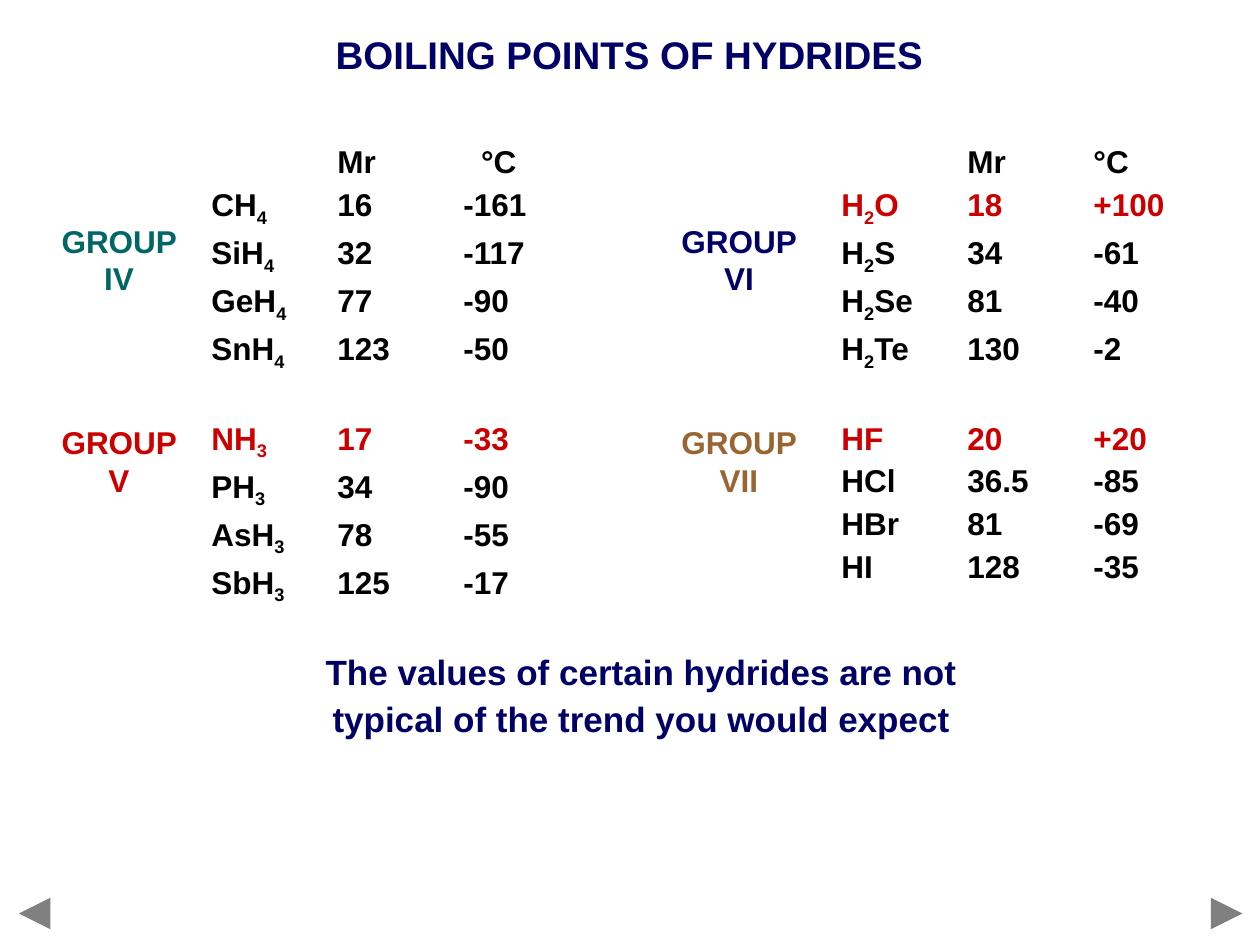
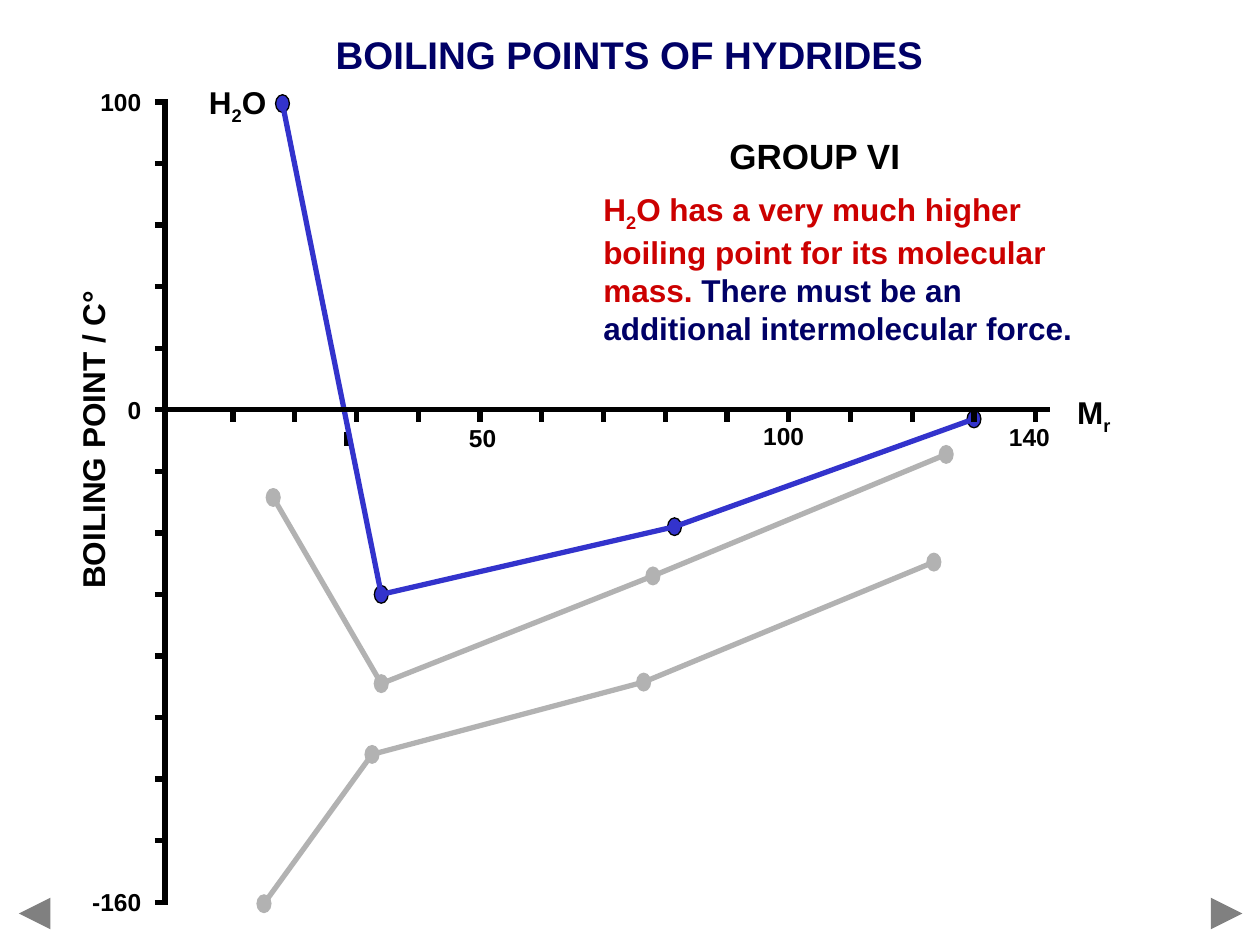
from dataclasses import dataclass
from itertools import pairwise
from typing import NamedTuple

from lxml import etree
from pptx import Presentation
from pptx.dml.color import RGBColor
from pptx.enum.shapes import MSO_CONNECTOR, MSO_SHAPE
from pptx.enum.text import PP_ALIGN
from pptx.oxml.ns import qn
from pptx.util import Inches, Pt


@dataclass(frozen=True)
class Theme:
    font: str = "Arial"
    navy: str = "000066"
    red: str = "CC0000"
    teal: str = "006666"
    brown: str = "996633"
    black: str = "000000"
    blue: str = "3333CC"
    pale_grey: str = "B2B2B2"
    arrow_grey: str = "808080"
    title: int = 22
    emphasis: int = 20
    body: int = 18
    scale: int = 14
    line: float = 3
    arrow: float = 6
    outline: float = 0.75
    line_gap: float = 2.9
    block_gap: float = 23.6


THEME = Theme()
TITLE = "BOILING POINTS OF HYDRIDES"
SUBSCRIPT = "_"


class Box(NamedTuple):
    left: float
    top: float
    width: float
    height: float

    def inner(self, left, top, width, height):
        return Box(self.left + left, self.top + top, width, height)


SLIDE = Box(0, 0, 10, 7.5)

LEFT_HYDRIDES = [
    ["CH_4_\t16\t-161", "SiH_4_\t32\t-117", "GeH_4_\t77\t-90", "SnH_4_\t123\t-50"],
    ["NH_3_\t17\t-33", "PH_3_\t34\t-90", "AsH_3_\t78\t-55", "SbH_3_\t125\t-17"],
]
RIGHT_HYDRIDES = [
    ["H_2_O\t18\t+100", "H_2_S\t34\t-61", "H_2_Se\t81\t-40", "H_2_Te\t130\t-2"],
    ["HF\t20\t+20", "HCl\t36.5\t-85", "HBr\t81\t-69", "HI\t128\t-35"],
]

GROUP_IV = [(15, -160.5), (32.5, -112), (76.5, -88.5), (123.5, -49.5)]
GROUP_V = [(16.5, -28.5), (34, -89), (78, -54), (125.5, -14.5)]
GROUP_VI = [(18, 99.5), (34, -60), (81.5, -38), (130, -3)]


def color(value):
    return RGBColor.from_string(value)


def style(paragraph, size, ink, align=None):
    paragraph.alignment = align
    paragraph.font.name = THEME.font
    paragraph.font.size = Pt(size)
    paragraph.font.bold = True
    paragraph.font.color.rgb = color(ink)


def add_formula(paragraph, text, ink=None):
    for index, part in enumerate(text.split(SUBSCRIPT)):
        if not part:
            continue
        run = paragraph.add_run()
        run.text = part
        if ink:
            run.font.color.rgb = color(ink)
        if index % 2:
            run._r.get_or_add_rPr().set("baseline", "-25000")


def add_frame(slide, box):
    frame = slide.shapes.add_textbox(*map(Inches, box))
    frame.text_frame.word_wrap = True
    return frame


def add_label(slide, box, text, size, ink, align=None):
    label = add_frame(slide, box)
    paragraph = label.text_frame.paragraphs[0]
    add_formula(paragraph, text)
    style(paragraph, size, ink, align)
    return label


def add_line(slide, start, end, ink, width=THEME.line, arrow=False):
    line = slide.shapes.add_connector(
        MSO_CONNECTOR.STRAIGHT, *map(Inches, (*start, *end)))
    line.line.color.rgb = color(ink)
    line.line.width = Pt(width)
    properties = line._element.spPr
    if arrow:
        etree.SubElement(properties.find(qn("a:ln")), qn("a:tailEnd"), type="triangle")
    etree.SubElement(properties, qn("a:effectLst"))


def add_tab_stops(paragraph, stops):
    tabs = etree.SubElement(paragraph._p.get_or_add_pPr(), qn("a:tabLst"))
    for stop in stops:
        etree.SubElement(tabs, qn("a:tab"), pos=str(Inches(stop)), algn="l")


def add_page(deck):
    slide = deck.slides.add_slide(deck.slide_layouts[6])
    arrow_y = 7.25
    for tail, tip in ((9.65, 9.86), (0.36, 0.15)):
        add_line(slide, (tail, arrow_y), (tip, arrow_y),
                 THEME.arrow_grey, THEME.arrow, arrow=True)
    add_label(slide, SLIDE.inner(1.58, 0.2, 6.83, 0.47), TITLE,
              THEME.title, THEME.navy, PP_ALIGN.CENTER)
    return slide


def add_hydride_list(slide, box, blocks, celsius_stop):
    frame = add_frame(slide, box).text_frame
    rows = [("\tMr\t°C", THEME.black, (1, celsius_stop), 0)]
    for block_index, block in enumerate(blocks):
        for row_index, text in enumerate(block):
            starts_block = block_index > 0 and row_index == 0
            unusual = text.startswith(("NH", "H_2_O", "HF"))
            rows.append((text, THEME.red if unusual else THEME.black, (1, 2),
                         THEME.block_gap if starts_block else 0))
    for index, (text, ink, stops, gap) in enumerate(rows):
        paragraph = frame.add_paragraph() if index else frame.paragraphs[0]
        if gap:
            paragraph.space_before = Pt(gap)
        paragraph.space_after = Pt(THEME.line_gap)
        add_tab_stops(paragraph, stops)
        add_formula(paragraph, text)
        style(paragraph, THEME.body, ink)


def add_group_names(slide, box, names):
    for index, (name, ink) in enumerate(names):
        add_label(slide, box.inner(0, 1.6 * index, box.width, 0.7), name,
                  THEME.body, ink, PP_ALIGN.CENTER)


def add_conclusion(slide, box):
    frame = add_frame(slide, box).text_frame
    lines = ("The values of certain hydrides are not",
             "typical of the trend you would expect")
    for index, text in enumerate(lines):
        paragraph = frame.add_paragraph() if index else frame.paragraphs[0]
        paragraph.text = text
        paragraph.space_after = Pt(THEME.line_gap)
        style(paragraph, THEME.emphasis, THEME.navy, PP_ALIGN.CENTER)


def add_table_page(deck):
    slide = add_page(deck)
    add_hydride_list(slide, SLIDE.inner(1.58, 1.08, 2.99, 3.68), LEFT_HYDRIDES, 2.14)
    add_hydride_list(slide, SLIDE.inner(6.58, 1.08, 2.99, 3.52), RIGHT_HYDRIDES, 2)
    add_group_names(slide, SLIDE.inner(0.31, 1.71, 1.27, 2.3),
                    [("GROUP IV", THEME.teal), ("GROUP V", THEME.red)])
    add_group_names(slide, SLIDE.inner(5.23, 1.71, 1.27, 2.3),
                    [("GROUP VI", THEME.navy), ("GROUP VII", THEME.brown)])
    add_conclusion(slide, SLIDE.inner(2.38, 5.11, 5.42, 0.8))


def plot_point(box, mass, celsius):
    return (box.left + 0.03 + mass * 0.49 / 10,
            box.top + (100 - celsius) * box.height / 260)


def add_series(slide, box, points, ink, outline):
    marker_width, marker_height = 0.11, 0.14
    centres = [plot_point(box, *point) for point in points]
    for x, y in centres:
        marker = slide.shapes.add_shape(
            MSO_SHAPE.OVAL, Inches(x - marker_width / 2), Inches(y - marker_height / 2),
            Inches(marker_width), Inches(marker_height))
        marker.shadow.inherit = False
        marker.fill.solid()
        marker.fill.fore_color.rgb = color(ink)
        marker.line.color.rgb = color(outline)
        marker.line.width = Pt(THEME.outline)
    for start, end in pairwise(centres):
        add_line(slide, start, end, ink)


def add_axes(slide, box):
    zero_y = plot_point(box, 0, 0)[1]
    axis_x = box.left - 0.02
    add_line(slide, (axis_x, box.top), (axis_x, box.top + box.height + 0.02), THEME.black)
    add_line(slide, (box.left, zero_y), (box.left + box.width, zero_y), THEME.black)
    for celsius in range(-160, 101, 20):
        y = plot_point(box, 0, celsius)[1]
        add_line(slide, (box.left - 0.1, y), (box.left, y), THEME.black)
    for mass in range(10, 141, 10):
        x = plot_point(box, mass, 0)[0]
        add_line(slide, (x, zero_y), (x, zero_y + 0.1), THEME.black)

    for text, celsius in (("100", 100), ("0", 0), ("-160", -160)):
        y = plot_point(box, 0, celsius)[1]
        add_label(slide, Box(box.left - 0.77, y - 0.17, 0.66, 0.34), text,
                  THEME.scale, THEME.black, PP_ALIGN.RIGHT)
    for text, centre, drop in (("50", 2.5, 0.06), ("100", 4.89, 0.04), ("140", 6.84, 0.05)):
        add_label(slide, Box(box.left + centre - 0.29, zero_y + drop, 0.58, 0.34), text,
                  THEME.scale, THEME.black, PP_ALIGN.CENTER)
    add_label(slide, Box(box.left + 7.12, zero_y - 0.18, 0.58, 0.44), "M_r_",
              THEME.body, THEME.black)
    axis_title = add_label(slide, box.inner(-2.03, 2.48, 2.87, 0.4), "BOILING POINT / C°",
                           THEME.body, THEME.black, PP_ALIGN.CENTER)
    axis_title.rotation = 270


def add_explanation(slide, box):
    add_label(slide, box.inner(1, 0, 1.76, 0.44), "GROUP VI", THEME.emphasis, THEME.black)
    reason = add_frame(slide, box.inner(0, 0.44, box.width, 1.34))
    paragraph = reason.text_frame.paragraphs[0]
    add_formula(paragraph, "H_2_O has a very much higher boiling point "
                           "for its molecular mass. ", THEME.red)
    add_formula(paragraph, "There must be an additional intermolecular force.", THEME.navy)
    style(paragraph, THEME.body, THEME.navy)


def add_graph_page(deck):
    slide = add_page(deck)
    plot = SLIDE.inner(1.33, 0.81, 7, 6.35)
    for points in (GROUP_IV, GROUP_V):
        add_series(slide, plot, points, THEME.pale_grey, THEME.pale_grey)
    add_line(slide, (2.75, 3.43), (2.75, 3.54), THEME.black)
    add_series(slide, plot, GROUP_VI, THEME.blue, THEME.black)
    add_axes(slide, plot)
    add_explanation(slide, SLIDE.inner(4.69, 1.02, 4.16, 1.78))
    add_label(slide, plot.inner(0.23, -0.2, 0.8, 0.44), "H_2_O", THEME.body, THEME.black)


def main():
    deck = Presentation()
    deck.slide_width = Inches(SLIDE.width)
    deck.slide_height = Inches(SLIDE.height)
    add_table_page(deck)
    add_graph_page(deck)
    deck.save("out.pptx")


if __name__ == "__main__":
    main()
